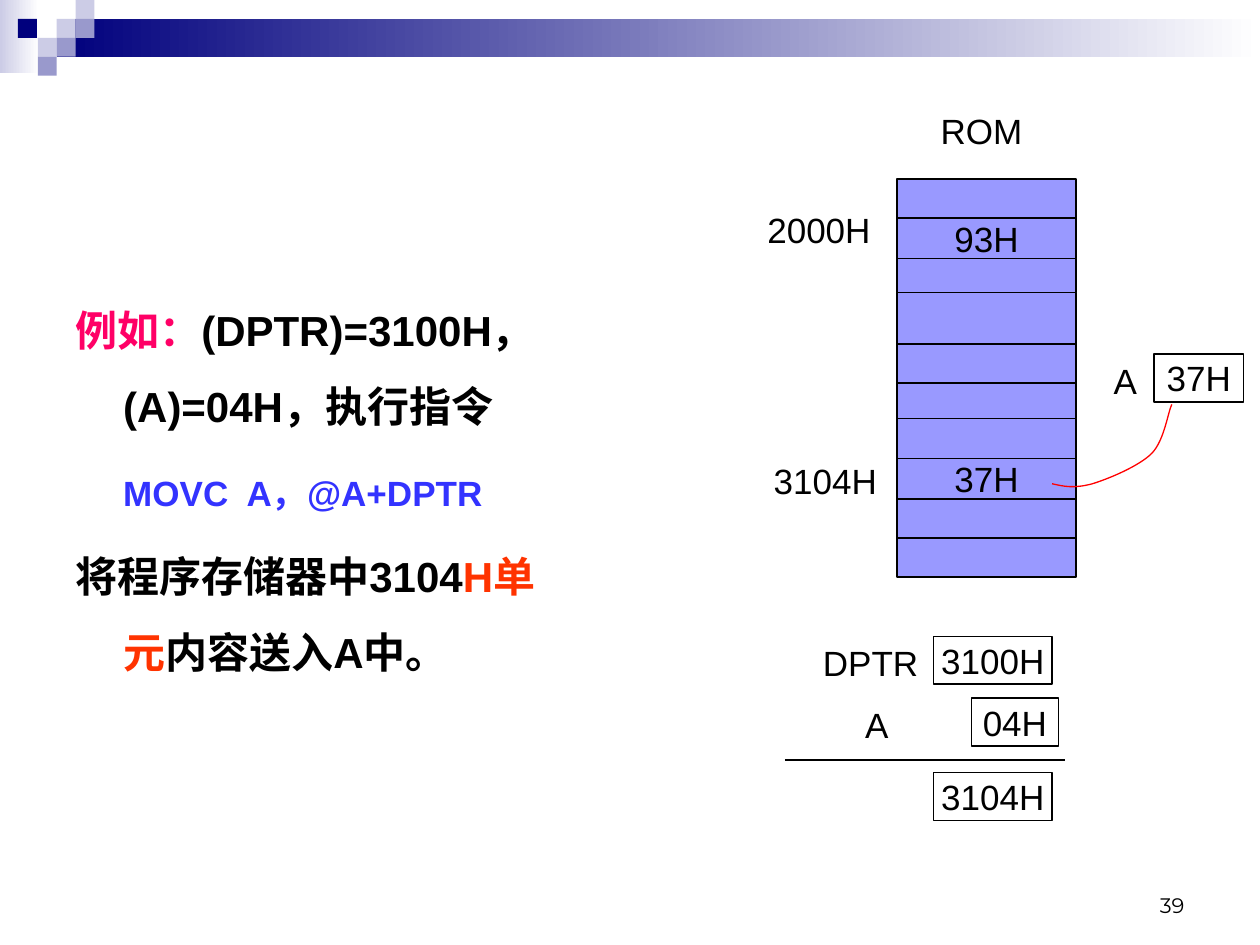
import itertools

import pptx
import pptx.dml.color
import pptx.enum.shapes
import pptx.enum.text
import pptx.oxml.ns
import pptx.util
from lxml import etree
from pptx.util import Inches

COLORS = {
    "black": "000000", "white": "FFFFFF", "navy": "00007D", "pale": "CCCCE6",
    "mid": "9999CC", "cell": "9999FF", "pink": "FF0066", "blue": "3333FF",
    "orange": "FF3300", "red": "FF0000",
}
ALIGN = pptx.enum.text.PP_ALIGN
ANCHOR = pptx.enum.text.MSO_ANCHOR


def color(name):
    """Return the named colour."""
    return pptx.dml.color.RGBColor.from_string(COLORS[name])


def style(run, size, name="black", face="Arial", bold=False):
    """Set the font of a run."""
    run.font.size = pptx.util.Pt(size)
    run.font.name = face
    run.font.bold = bold
    run.font.color.rgb = color(name)


def write(shape, text, size=20, face="Arial", align=ALIGN.CENTER,
          anchor=ANCHOR.MIDDLE, inset=0):
    """Put one line of text in a shape."""
    frame = shape.text_frame
    frame.text = text
    frame.word_wrap = False
    frame.margin_left = frame.margin_right = Inches(inset)
    frame.vertical_anchor = anchor
    line = frame.paragraphs[0]
    line.alignment = align
    style(line.runs[0], size, face=face)


def label(slide, box, text, **look):
    """Add a bare line of text."""
    write(slide.shapes.add_textbox(*map(Inches, box)), text, **look)


def block(slide, box, fill=None, fade=False, edge=False, text=""):
    """Add a rectangle, plain or fading to white."""
    shape = slide.shapes.add_shape(
        pptx.enum.shapes.MSO_SHAPE.RECTANGLE, *map(Inches, box))
    shape.shadow.inherit = False
    if fade:
        shape.fill.gradient()
        shape.fill.gradient_angle = 0
        for stop, name in zip(shape.fill.gradient_stops, (fill, "white")):
            stop.color.rgb = color(name)
    elif fill:
        shape.fill.solid()
        shape.fill.fore_color.rgb = color(fill)
    else:
        shape.fill.background()
    if edge:
        shape.line.color.rgb = color("black")
        shape.line.width = pptx.util.Pt(0.75)
    else:
        shape.line.fill.background()
    if text:
        write(shape, text)


def banner(slide, left, top, width):
    """Draw the fading bar and its mosaic of squares."""
    unit = 0.15
    block(slide, (left, top, 0.31, 0.58), "pale", fade=True)
    block(slide, (left + 3 * unit, top + unit, width - 3 * unit, 2 * unit), "navy", fade=True)
    tiles = [(3, 1, "pale"), (4, 0, "pale"), (4, 1, "mid"), (2, 2, "pale"),
             (0.95, 1, "navy"), (3, 2, "mid"), (2, 3, "mid")]
    for col, row, name in tiles:
        block(slide, (left + col * unit, top + row * unit, unit, unit), name)


def example(slide, left, top, width, height):
    """Write the worked example."""
    lines = [
        (-0.38, 0, 24, [("例如：", "pink"), ("(DPTR)=3100H，(A)=04H，执行指令", "black")]),
        (0, 11, 20, [("MOVC  A，@A+DPTR", "blue")]),
        (-0.38, 7, 24, [("将程序存储器中3104", "black"), ("H单元", "orange"),
                        ("内容送入A中。", "black")]),
    ]
    frame = slide.shapes.add_textbox(*map(Inches, (left, top, width, height))).text_frame
    frame.word_wrap = True
    for spot, (indent, gap, size, runs) in enumerate(lines):
        line = frame.add_paragraph() if spot else frame.paragraphs[0]
        props = line._p.get_or_add_pPr()
        props.set("marL", str(Inches(0.38)))
        props.set("indent", str(Inches(indent)))
        line.line_spacing = 1.5
        line.space_before = pptx.util.Pt(gap)
        for text, name in runs:
            run = line.add_run()
            run.text = text
            style(run, size, name, bold=True)


def memory(slide, left, top):
    """Stack the memory cells with their title and addresses."""
    width = 1.42
    tall = [0.31, 0.32, 0.27, 0.41, 0.31, 0.28, 0.32, 0.32, 0.31, 0.31]
    data = {1: "93H", 7: "37H"}
    label(slide, (left, top - 0.62, 1.34, 0.47), "ROM")
    label(slide, (left - 1.09, top + 0.21, 0.94, 0.38), "2000H")
    label(slide, (left - 1.04, top + 2.2, 0.94, 0.38), "3104H")
    for spot, (high, end) in enumerate(zip(tall, itertools.accumulate(tall))):
        block(slide, (left, top + end - high, width, high), "cell",
              edge=True, text=data.get(spot, ""))


def result(slide, left, top):
    """Show the loaded register and the curve from its memory cell."""
    label(slide, (left, top + 0.05, 0.52, 0.32), "A")
    block(slide, (left + 0.49, top, 0.71, 0.38), edge=True, text="37H")
    dots = [(-0.32, 1.03), (-0.23, 1.05), (-0.15, 1.07), (0, 1.03), (0.13, 0.99),
            (0.37, 0.89), (0.47, 0.79), (0.57, 0.69), (0.6, 0.46), (0.63, 0.4)]
    start, *rest = [(Inches(left + x), Inches(top + y)) for x, y in dots]
    pen = slide.shapes.build_freeform(*start)
    pen.add_line_segments(rest, close=False)
    curve = pen.convert_to_shape()
    curve.shadow.inherit = False
    curve.fill.background()
    curve.line.color.rgb = color("red")
    curve.line.width = pptx.util.Pt(0.75)
    steps = list(curve._element.iter(pptx.oxml.ns.qn("a:lnTo")))
    for spot in range(0, len(steps), 3):
        trio = steps[spot:spot + 3]
        bend = etree.SubElement(trio[0].getparent(), pptx.oxml.ns.qn("a:cubicBezTo"))
        for step in trio:
            bend.append(step[0])
            step.getparent().remove(step)


def total(slide, left, top):
    """Set out the address sum."""
    label(slide, (left + 0.25, top + 0.05, 0.86, 0.32), "DPTR")
    label(slide, (left + 0.3, top + 0.54, 0.86, 0.32), "A")
    block(slide, (left + 1.18, top, 0.94, 0.38), edge=True, text="3100H")
    block(slide, (left + 1.48, top + 0.49, 0.69, 0.38), edge=True, text="04H")
    block(slide, (left + 1.18, top + 1.08, 0.94, 0.38), edge=True, text="3104H")
    ends = map(Inches, (left, top + 0.98, left + 2.22, top + 0.98))
    rule = slide.shapes.add_connector(pptx.enum.shapes.MSO_CONNECTOR.STRAIGHT, *ends)
    rule.line.color.rgb = color("black")
    rule.line.width = pptx.util.Pt(1)
    etree.SubElement(rule._element.spPr, pptx.oxml.ns.qn("a:effectLst"))


def main():
    """Build and save the slide."""
    deck = pptx.Presentation()
    deck.slide_width, deck.slide_height = Inches(10), Inches(7.5)
    slide = deck.slides.add_slide(deck.slide_layouts[6])
    banner(slide, 0, 0, 10)
    label(slide, (7.17, 6.83, 2.33, 0.5), "39", size=12, face="Montserrat",
          align=ALIGN.RIGHT, anchor=ANCHOR.BOTTOM, inset=0.1)
    example(slide, 0.5, 2.17, 4.06, 4.25)
    memory(slide, 7.12, 1.42)
    result(slide, 8.67, 2.81)
    total(slide, 6.23, 5.05)
    deck.save("out.pptx")


if __name__ == "__main__":
    main()
